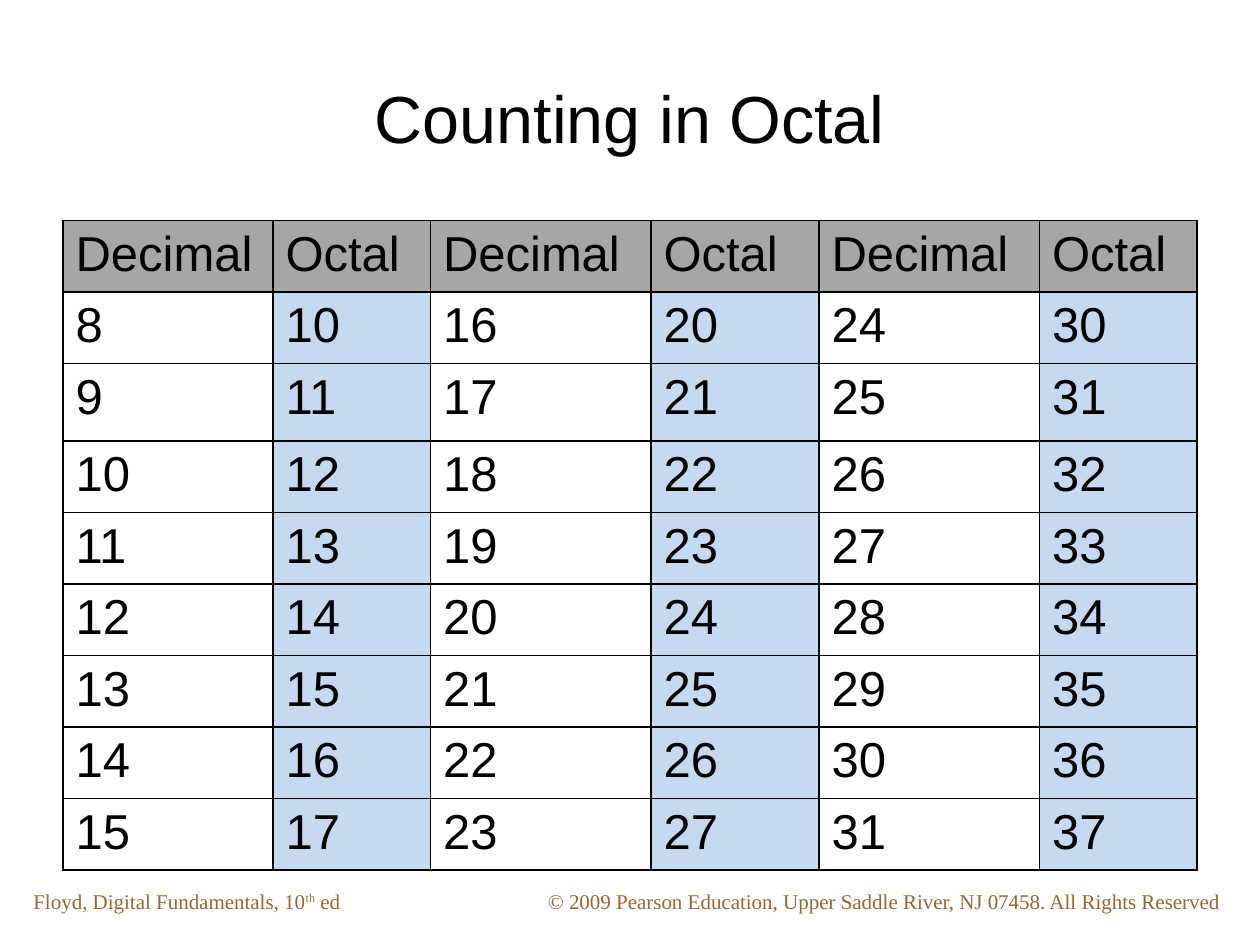
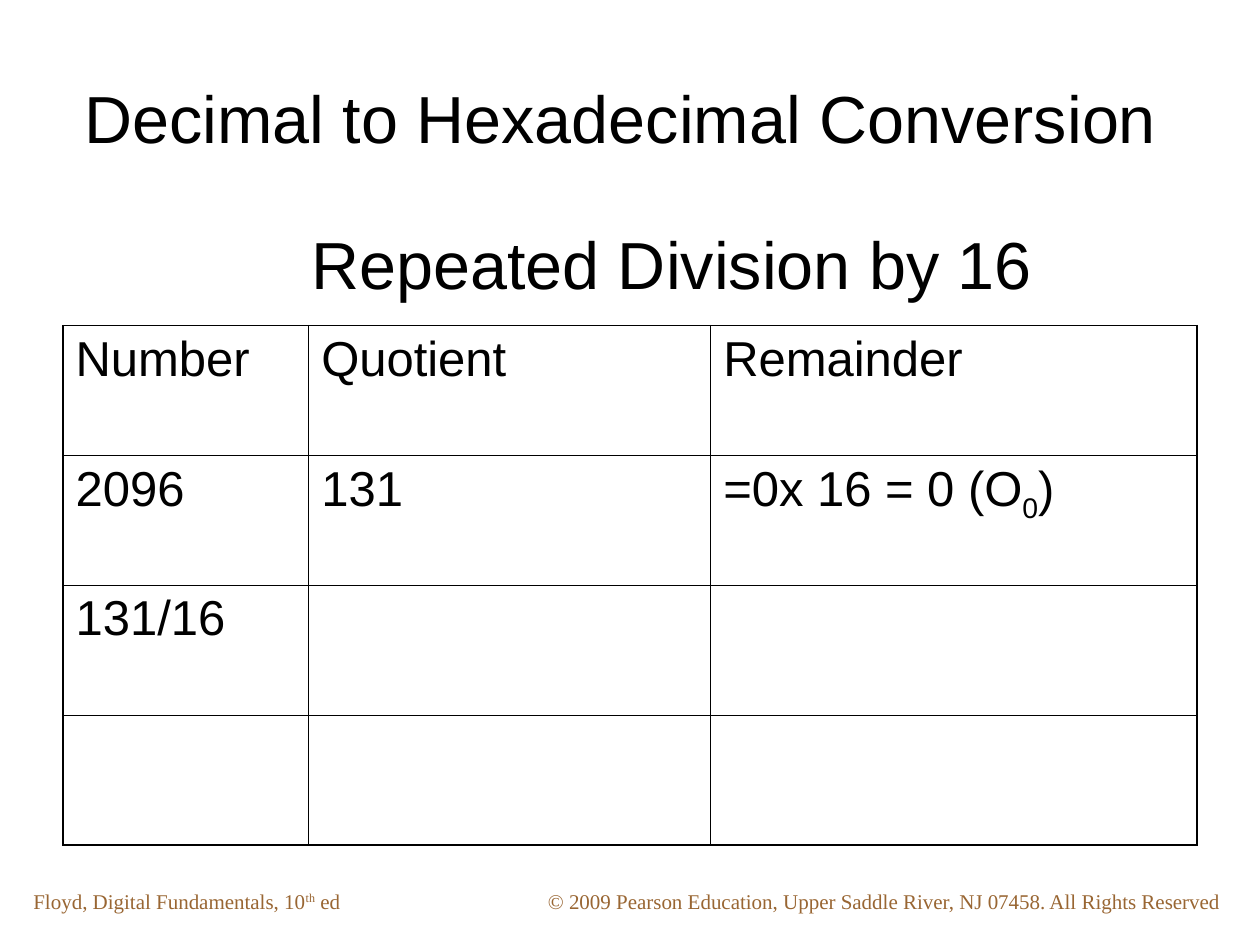
from lxml.etree import SubElement
from pptx import Presentation
from pptx.dml.color import RGBColor
from pptx.enum.text import MSO_ANCHOR as Anchor, MSO_AUTO_SIZE as AutoSize, PP_ALIGN as Align
from pptx.oxml.ns import qn
from pptx.util import Pt

BLACK = RGBColor(0x00, 0x00, 0x00)
FOOTER_BROWN = RGBColor(0x99, 0x66, 0x33)
HEADER_GRAY = RGBColor(0xA6, 0xA6, 0xA6)
OCTAL_BLUE = RGBColor(0xC6, 0xD9, 0xF1)

BODY_FONT, FOOTER_FONT = "Arial", "Times New Roman"
TITLE_ONLY_LAYOUT = 5
HANGING_INDENT = Pt(27)
BORDER_SIDES = ("a:lnL", "a:lnR", "a:lnT", "a:lnB")

# Boxes are left, top, width, height in points
HEADING_BOX = (36, 21.6, 648, 90)
METHOD_BOX = (144, 120, 480, 60)
EDITION_BOX = (12, 504, 222, 21.6)
COPYRIGHT_BOX = (306, 504, 402, 21.6)

EDITION = [("Floyd, Digital Fundamentals, 10", 0), ("th", 30), (" ed", 0)]
COPYRIGHT = "© 2009 Pearson Education, Upper Saddle River, NJ 07458. All Rights Reserved"

DIVISION_ROWS = [
    ["Number", "Quotient ", "Remainder"],
    ["2096", "131", [("=0x 16 = 0 (O", 0), ("0", -25), (")", 0)]],
    ["131/16", "", ""],
    ["", "", ""],
]


def write_text(frame, text, size=28, font=BODY_FONT, color=BLACK, align=Align.LEFT, hanging=False):
    """Write a string, or a list of (string, baseline percent) runs, as one paragraph."""
    paragraph = frame.paragraphs[0]
    paragraph.alignment = align
    if hanging:
        properties = paragraph._p.get_or_add_pPr()
        properties.set("marL", str(HANGING_INDENT))
        properties.set("indent", str(-HANGING_INDENT))
    for words, baseline in [(text, 0)] if isinstance(text, str) else text:
        run = paragraph.add_run()
        run.text = words
        run.font.size = Pt(size)
        run.font.name = font
        run.font.color.rgb = color
        if baseline:
            run._r.get_or_add_rPr().set("baseline", str(baseline * 1000))


def place(shape, box):
    shape.left, shape.top, shape.width, shape.height = map(Pt, box)


def add_text_box(slide, box):
    shape = slide.shapes.add_textbox(*map(Pt, box))
    shape.text_frame.word_wrap = True
    return shape


def format_heading(shape, text):
    frame = shape.text_frame
    frame.auto_size = AutoSize.NONE
    frame.vertical_anchor = Anchor.MIDDLE
    write_text(frame, text, size=38, align=Align.CENTER)


def add_footer(slide):
    for box, text in ((COPYRIGHT_BOX, COPYRIGHT), (EDITION_BOX, EDITION)):
        frame = add_text_box(slide, box).text_frame
        frame.auto_size = AutoSize.SHAPE_TO_FIT_TEXT
        write_text(frame, text, size=12, font=FOOTER_FONT, color=FOOTER_BROWN)


def add_slide(presentation, title, title_box):
    slide = presentation.slides.add_slide(presentation.slide_layouts[TITLE_ONLY_LAYOUT])
    add_footer(slide)
    place(slide.shapes.title, title_box)
    format_heading(slide.shapes.title, title)
    return slide


def add_borders(cell):
    properties = cell._tc.get_or_add_tcPr()
    for side in BORDER_SIDES:
        line = SubElement(properties, qn(side), w=str(Pt(1)))
        fill = SubElement(line, qn("a:solidFill"))
        SubElement(fill, qn("a:srgbClr"), val=str(BLACK))


def add_grid(slide, left, top, column_widths, row_heights, rows, fill_for=None):
    """Add a bordered table; fill_for(row, column) gives a cell's colour or None."""
    size = sum(column_widths), sum(row_heights)
    table = slide.shapes.add_table(
        len(rows), len(column_widths), *map(Pt, (left, top, *size))).table
    table.first_row = table.horz_banding = False
    for column, width in zip(table.columns, column_widths):
        column.width = Pt(width)
    for row, height in zip(table.rows, row_heights):
        row.height = Pt(height)
    for row_index, texts in enumerate(rows):
        for column_index, text in enumerate(texts):
            cell = table.cell(row_index, column_index)
            add_borders(cell)
            color = fill_for(row_index, column_index) if fill_for else None
            if color is None:
                cell.fill.background()
            else:
                cell.fill.solid()
                cell.fill.fore_color.rgb = color
            if text:
                write_text(cell.text_frame, text, align=Align.JUSTIFY, hanging=True)


def octal_rows():
    rows = [["Decimal", "Octal"] * 3]
    for first in range(8, 16):
        numbers = (first, first + 8, first + 16)
        rows.append([text for number in numbers for text in (str(number), f"{number:o}")])
    return rows


def octal_fill(row, column):
    if row == 0:
        return HEADER_GRAY
    return OCTAL_BLUE if column % 2 else None


def add_octal_slide(presentation):
    slide = add_slide(presentation, "Counting in Octal", HEADING_BOX)
    row_heights = [40.8] * 2 + [44.4] + [40.8] * 6
    add_grid(slide, 36, 126, [120, 90, 126, 96, 126, 90], row_heights, octal_rows(), octal_fill)


def add_hexadecimal_slide(presentation):
    slide = add_slide(presentation, "Repeated Division by 16", METHOD_BOX)
    add_grid(slide, 36, 186, [140.4, 229.7, 277.9], [74.25] * 4, DIVISION_ROWS)
    format_heading(add_text_box(slide, HEADING_BOX), "Decimal to Hexadecimal Conversion ")


def main():
    presentation = Presentation()
    presentation.slide_width, presentation.slide_height = Pt(720), Pt(540)
    add_octal_slide(presentation)
    add_hexadecimal_slide(presentation)
    presentation.save("out.pptx")


if __name__ == "__main__":
    main()
